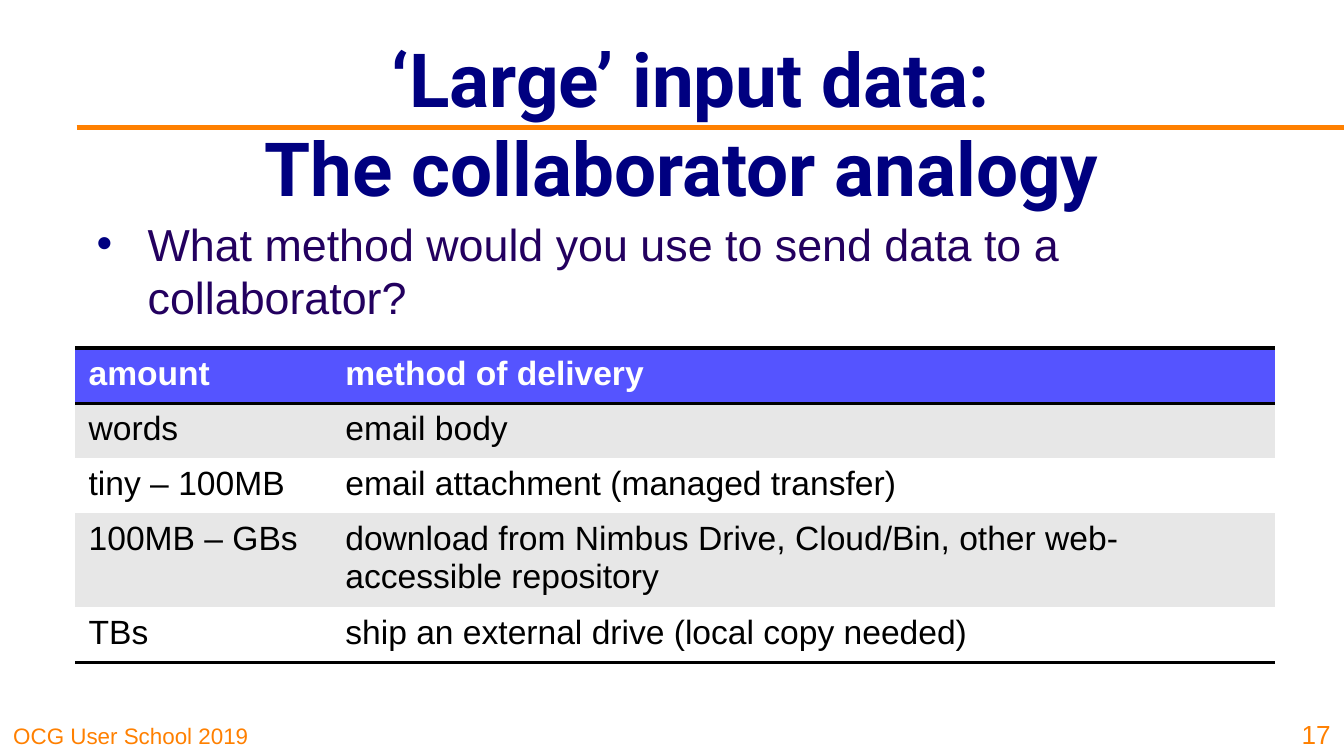
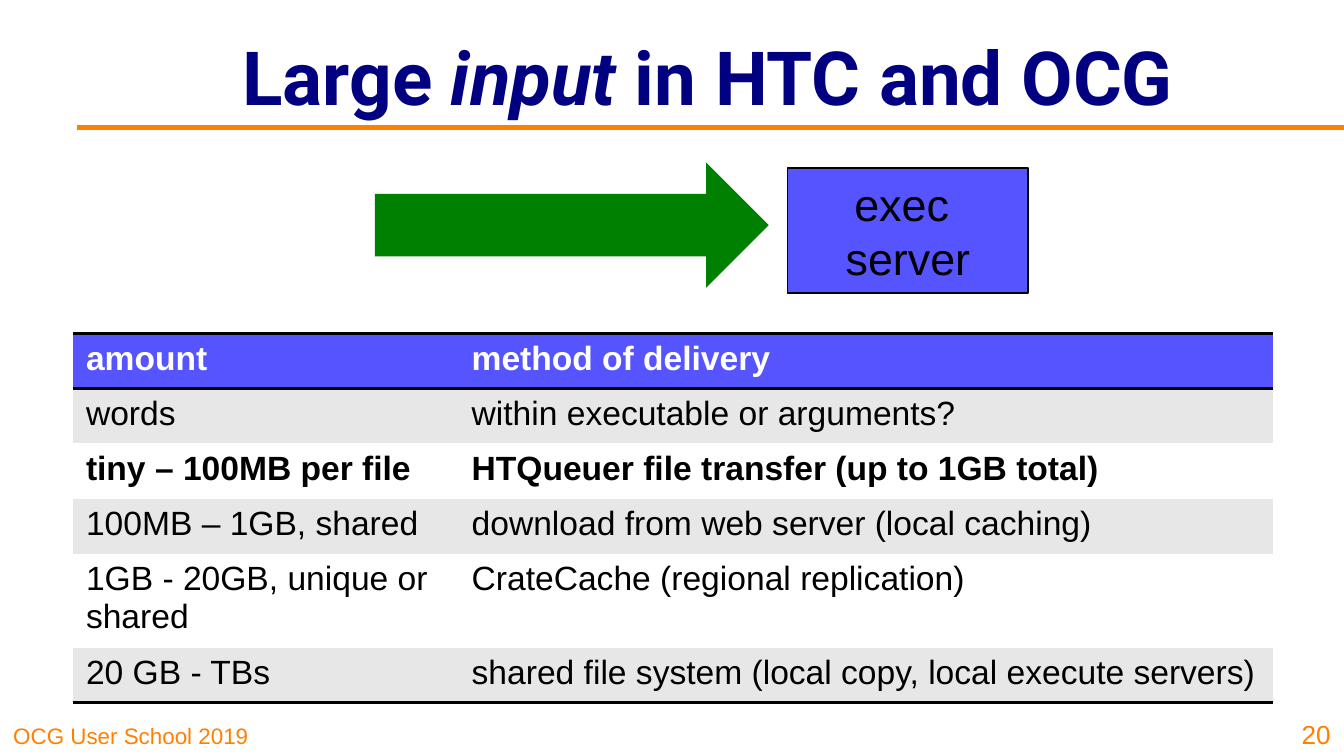
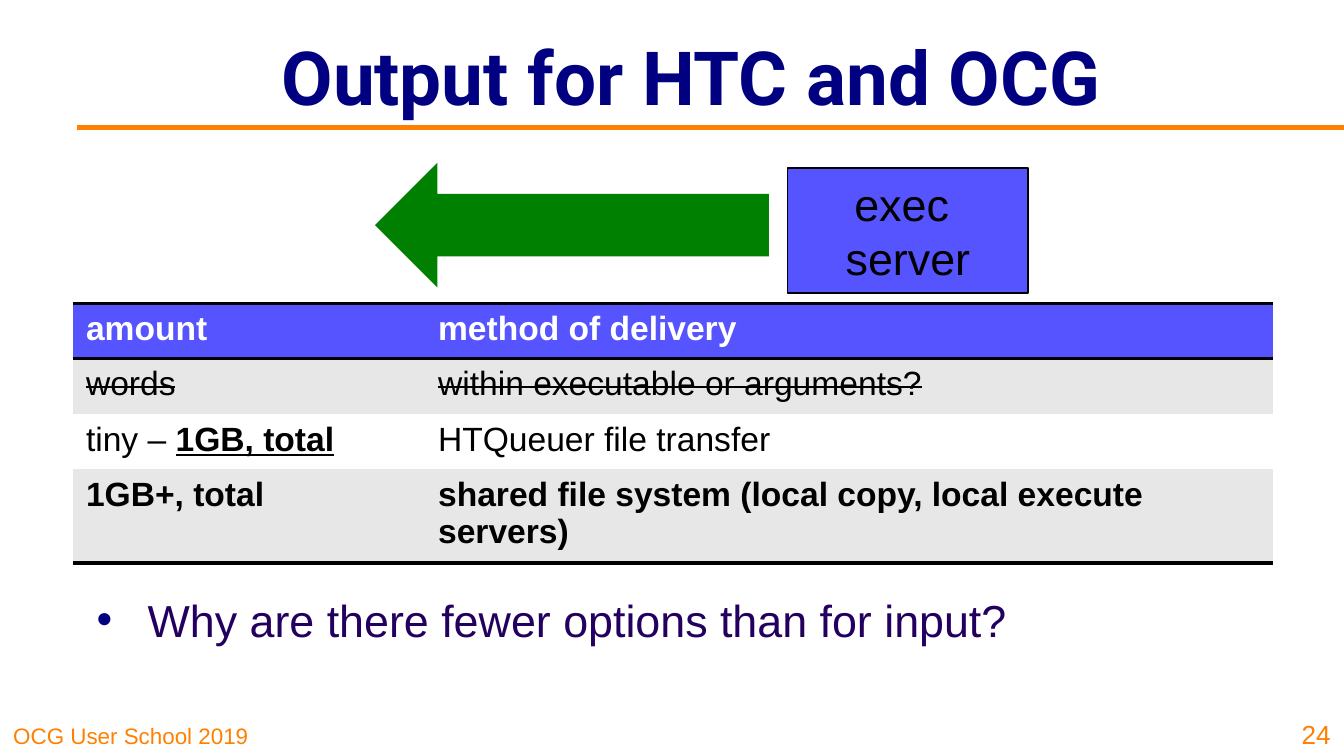
from pptx import Presentation
from pptx import util as u
from pptx.dml import color
from pptx.enum import shapes, text
from pptx.oxml import ns
from lxml import etree

NAVY, INDIGO, ORANGE = "000080", "23005F", "FF8000"
BLUE, GREEN, GREY = "5554FF", "008000", "E7E7E7"
BLACK, WHITE = "000000", "FFFFFF"
BODY_FONT, TITLE_FONT = "Arial", "Roboto"
BODY_BOX = (0.62, 1.09, 9.01, 3.84)
FLOW_BOX = (2.79, 1.21, 4.86, 0.97)
ROW_HEIGHT = 0.41
PLAIN_TABLE = "{2D5ABB26-0587-4C30-8999-92F81FD0307C}"


def rgb(value):
    return color.RGBColor.from_string(value)


def inches(*lengths):
    return [u.Inches(length) for length in lengths]


def write(paragraph, runs, size, ink, font=BODY_FONT, bold=False):
    """Add (text, marks) runs; marks are b, i, u, s; a newline breaks the line."""
    for content, marks in runs:
        for number, line in enumerate(content.split("\n")):
            if number:
                paragraph.add_line_break()
            run = paragraph.add_run()
            run.text = line
            face = run.font
            face.name, face.size = font, u.Pt(size)
            face.color.rgb = rgb(ink)
            face.bold = bold or "b" in marks
            if "i" in marks:
                face.italic = True
            if "u" in marks:
                face.underline = True
            if "s" in marks:
                run._r.get_or_add_rPr().set("strike", "sngStrike")


def add_text(slide, box, runs, size, ink, align=text.PP_ALIGN.LEFT,
             anchor=text.MSO_ANCHOR.BOTTOM, **style):
    frame = slide.shapes.add_textbox(*inches(*box)).text_frame
    frame.word_wrap = True
    frame.vertical_anchor = anchor
    paragraph = frame.paragraphs[0]
    paragraph.alignment = align
    write(paragraph, runs, size, ink, **style)
    return frame


def add_page(deck, number, title, title_box):
    """Blank slide with footer, orange rule, title and page number."""
    slide = deck.slides.add_slide(deck.slide_layouts[6])
    add_text(slide, (0, 5.31, 2.48, 0.31), [("OCG User School 2019", "")], 12, ORANGE)
    rule = slide.shapes.add_connector(
        shapes.MSO_CONNECTOR.STRAIGHT, *inches(0.57, 0.95, 10, 0.95))
    rule.line.color.rgb = rgb(ORANGE)
    rule.line.width = u.Pt(3)
    etree.SubElement(rule._element.spPr, ns.qn("a:effectLst"))
    add_text(slide, title_box, title, 40, NAVY, text.PP_ALIGN.CENTER,
             text.MSO_ANCHOR.MIDDLE, font=TITLE_FONT, bold=True)
    add_text(slide, (9.54, 5.25, 0.46, 0.38), [(str(number), "")], 14, ORANGE,
             text.PP_ALIGN.RIGHT)
    return slide


def add_question(slide, box, question, drop):
    """Bulleted question, set down by drop inside its box."""
    frame = add_text(slide, box, [(question, "")], 24, INDIGO,
                     anchor=text.MSO_ANCHOR.TOP)
    frame.margin_top = u.Inches(drop)
    layout = frame.paragraphs[0]._p.get_or_add_pPr()
    layout.set("marL", str(u.Inches(0.38)))
    layout.set("indent", str(-u.Inches(0.38)))
    bullet_color = etree.SubElement(layout, ns.qn("a:buClr"))
    etree.SubElement(bullet_color, ns.qn("a:srgbClr"), val=NAVY)
    etree.SubElement(layout, ns.qn("a:buFont"), typeface=BODY_FONT)
    etree.SubElement(layout, ns.qn("a:buChar"), char="•")


def add_border(cell, side):
    edge = etree.SubElement(cell._tc.get_or_add_tcPr(), ns.qn("a:" + side),
                            w=str(u.Pt(2)))
    fill = etree.SubElement(edge, ns.qn("a:solidFill"))
    etree.SubElement(fill, ns.qn("a:srgbClr"), val=BLACK)


def add_delivery_table(slide, left, top, widths, rows):
    """Amounts and delivery methods; a cell is a string or a list of runs."""
    rows = [("amount", "method of delivery")] + rows
    table = slide.shapes.add_table(
        len(rows), len(widths),
        *inches(left, top, sum(widths), ROW_HEIGHT * len(rows))).table
    table._tbl.tblPr.find(ns.qn("a:tableStyleId")).text = PLAIN_TABLE
    for column, width in zip(table.columns, widths):
        column.width = u.Inches(width)
    for r, row in enumerate(rows):
        table.rows[r].height = u.Inches(ROW_HEIGHT)
        header = r == 0
        for c, content in enumerate(row):
            cell = table.cell(r, c)
            if header:
                add_border(cell, "lnT")
            if header or r == len(rows) - 1:
                add_border(cell, "lnB")
            cell.fill.solid()
            cell.fill.fore_color.rgb = rgb(
                BLUE if header else GREY if r % 2 else WHITE)
            runs = [(content, "")] if isinstance(content, str) else content
            write(cell.text_frame.paragraphs[0], runs, 18,
                  WHITE if header else BLACK, bold=header)


def add_block(slide, kind, box, fill):
    block = slide.shapes.add_shape(kind, *inches(*box))
    block.shadow.inherit = False
    block.fill.solid()
    block.fill.fore_color.rgb = rgb(fill)
    block.line.fill.background()
    return block


def add_flow(slide, box, outward=False):
    """Execute server with an arrow towards it, or away from it."""
    left, top, width, height = box
    server_width, block_height, arrow_width = 1.79, 0.93, 2.93
    server = add_block(slide, shapes.MSO_SHAPE.RECTANGLE,
                       (left + width - server_width, top + height - block_height,
                        server_width, block_height), BLUE)
    server.line.color.rgb = rgb(BLACK)
    server.line.width = u.Pt(0.75)
    server.text_frame.word_wrap = True
    server.text_frame.vertical_anchor = text.MSO_ANCHOR.MIDDLE
    label = server.text_frame.paragraphs[0]
    label.alignment = text.PP_ALIGN.CENTER
    write(label, [("exec \nserver", "")], 24, BLACK)
    arrow = add_block(slide, shapes.MSO_SHAPE.RIGHT_ARROW,
                      (left, top, arrow_width, block_height), GREEN)
    arrow.rotation = 180 if outward else 0


def collaborator_slide(deck):
    slide = add_page(deck, 17, [("‘Large’ input data:\nThe collaborator analogy ", "")],
                     (1.34, 0.44, 7.6, 0.94))
    add_question(slide, BODY_BOX,
                 "What method would you use to send data to a collaborator?", 0.52)
    add_delivery_table(slide, 0.56, 2.59, (1.91, 7.02), [
        ("words", "email body"),
        ("tiny – 100MB", "email attachment (managed transfer)"),
        ("100MB – GBs", "download from Nimbus Drive, Cloud/Bin, other "
                        "web-accessible repository"),
        ("TBs", "ship an external drive (local copy needed)"),
    ])


def input_slide(deck):
    slide = add_page(deck, 20, [("Large ", ""), ("input", "i"), (" in HTC and OCG", "")],
                     (1.34, 0.09, 7.85, 0.94))
    add_delivery_table(slide, 0.54, 2.48, (2.87, 6.06), [
        ("words", "within executable or arguments?"),
        ([("tiny – 100MB per file", "b")],
         [("HTQueuer file transfer (up to 1GB total)", "b")]),
        ("100MB – 1GB, shared", "download from web server (local caching)"),
        ("1GB - 20GB, unique or shared", "CrateCache (regional replication)"),
        ("20 GB - TBs", "shared file system (local copy, local execute servers)"),
    ])
    add_flow(slide, FLOW_BOX)


def output_slide(deck):
    slide = add_page(deck, 24, [("Output for HTC and OCG", "")], (1.34, 0.09, 7.6, 0.94))
    add_question(slide, BODY_BOX, "Why are there fewer options than for input?", 3.32)
    add_delivery_table(slide, 0.54, 2.26, (2.62, 6.31), [
        ([("words", "s")], [("within executable or arguments?", "s")]),
        ([("tiny – ", ""), ("1GB, total", "bu")], "HTQueuer file transfer"),
        ([("1GB+, total", "b")],
         [("shared file system (local copy, local execute servers)", "b")]),
    ])
    add_flow(slide, FLOW_BOX, outward=True)


def main():
    deck = Presentation()
    deck.slide_width = u.Inches(10)
    deck.slide_height = deck.slide_width * 9 // 16
    collaborator_slide(deck)
    input_slide(deck)
    output_slide(deck)
    deck.save("out.pptx")


if __name__ == "__main__":
    main()
